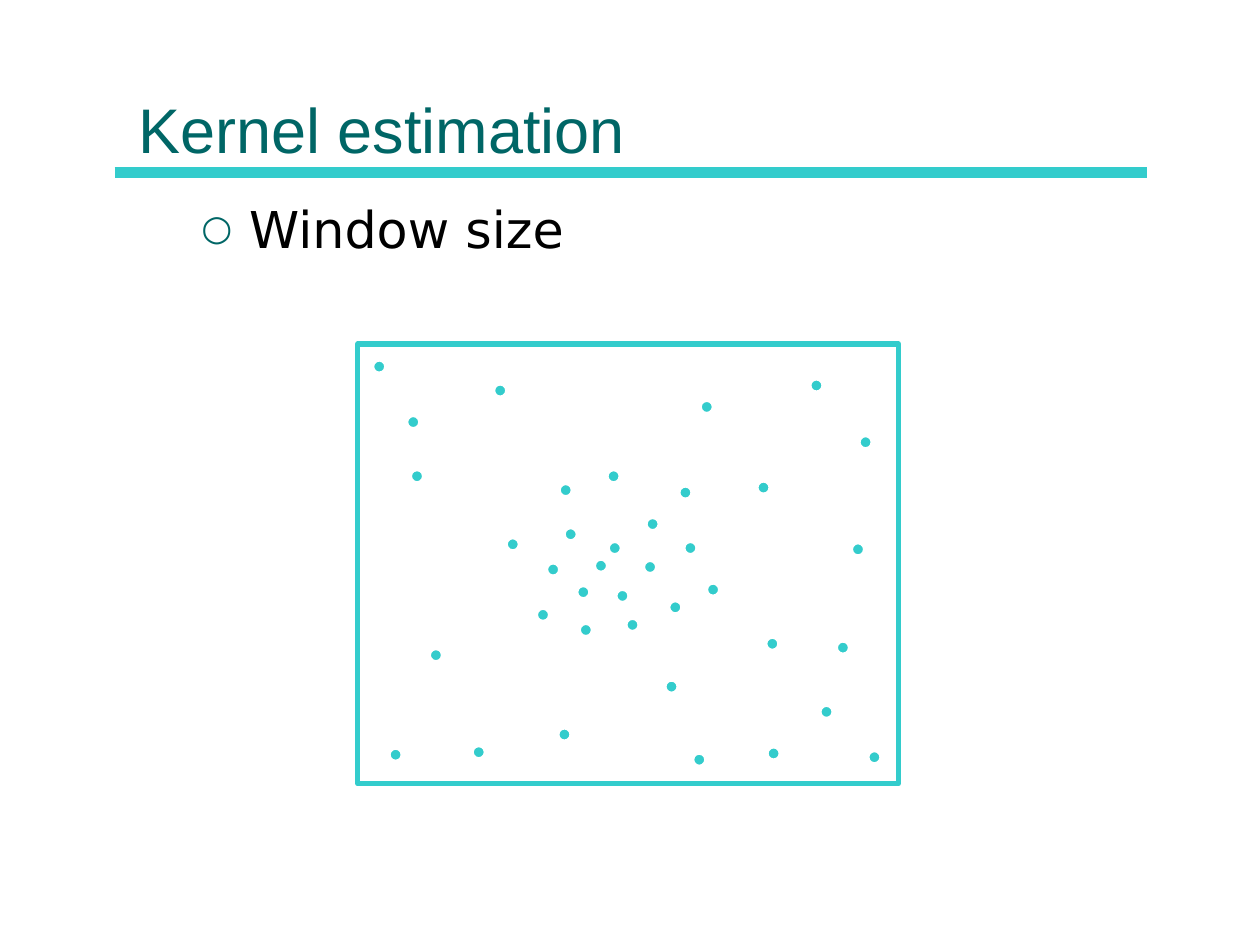
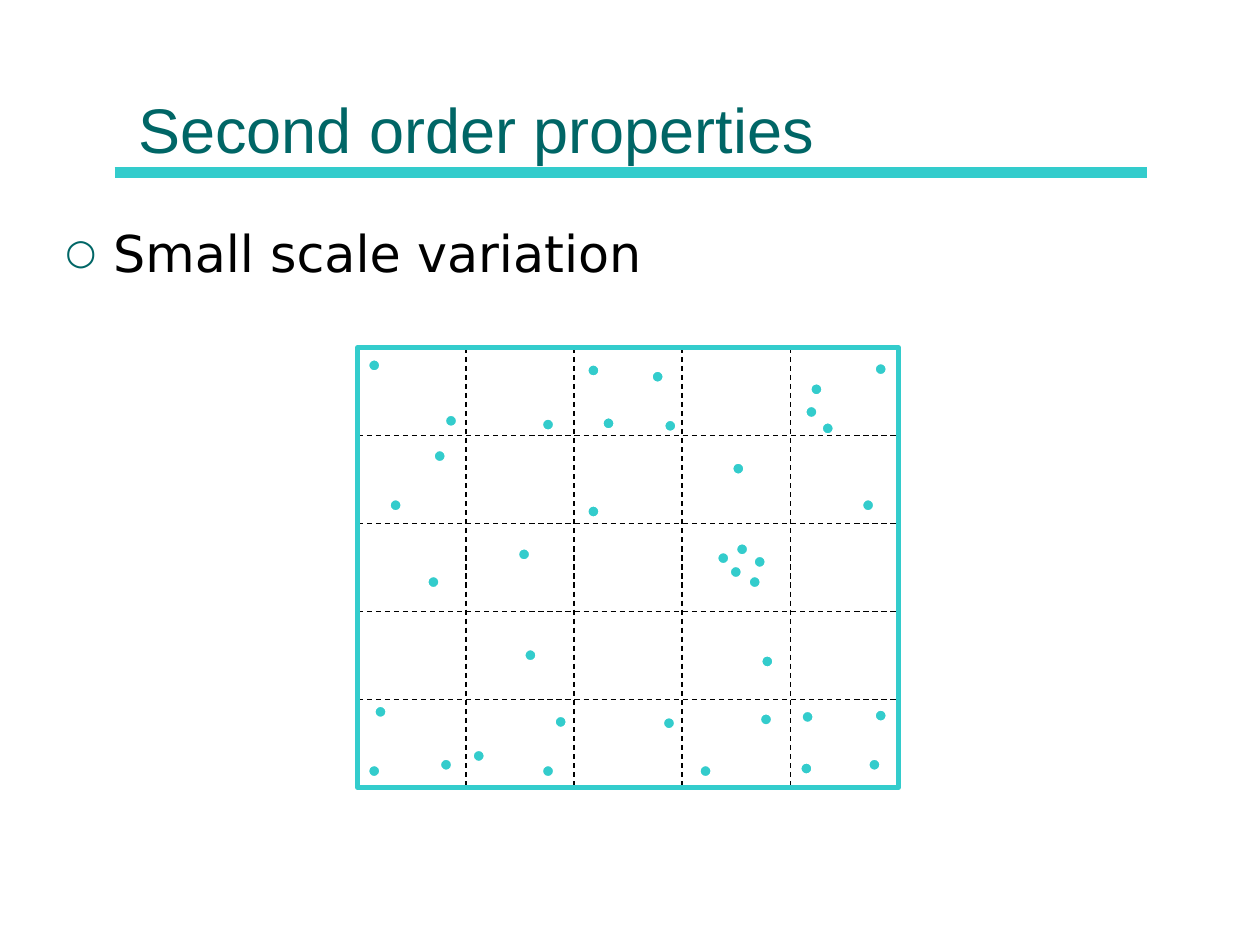
from lxml import etree
from pptx import Presentation
from pptx.dml.color import RGBColor
from pptx.enum import dml, shapes, text
from pptx.oxml import ns
from pptx.util import Inches, Pt

# Shared style
TEAL = RGBColor(0x33, 0xCC, 0xCC)
DARK = RGBColor(0x00, 0x66, 0x66)
BLACK = RGBColor(0, 0, 0)
WHITE = RGBColor(0xFF, 0xFF, 0xFF)
HEAD_FONT, BODY_FONT = "Arial", "DejaVu Sans"

# Plot frame and dots
LEFT, WIDTH, HEIGHT = 2.84, 4.29, 3.49
CELLS = 5
DOT = 0.1

# Top left corner of each dot
CLUSTER = [
    (4.89, 4.68), (4.44, 3.84), (3.92, 3.05), (6.82, 3.46), (4.97, 4.91),
    (4.82, 3.73), (6.76, 4.31), (4.58, 4.65), (5.13, 4.11), (4.02, 4.27),
    (3.23, 3.3), (5.39, 3.86), (4.72, 4.44), (2.96, 2.86), (5.31, 4.77),
    (3.26, 3.73), (4.48, 4.19), (5.56, 3.18), (6.43, 3.01), (4.6, 4.95),
    (4.26, 4.83), (4.83, 4.3), (5.43, 4.3), (6.01, 3.82), (3.75, 5.92),
    (3.41, 5.15), (4.34, 4.47), (4.43, 5.78), (3.09, 5.94), (6.64, 5.09),
    (6.89, 5.96), (5.5, 5.98), (5.11, 4.45), (6.08, 5.06), (6.09, 5.93),
    (6.51, 5.6), (5.61, 4.63), (5.28, 5.4),
]
SPREAD = [
    (5.98, 4.41), (4.3, 3.32), (3.53, 3.29), (6.94, 2.88), (5.94, 4.57),
    (5.27, 3.33), (3.44, 3.57), (5.69, 4.38), (4.66, 4.01), (4.11, 4.35),
    (2.92, 2.85), (3.39, 4.57), (5.84, 4.31), (5.17, 2.94), (4.66, 2.89),
    (3.09, 3.96), (4.78, 3.31), (6.39, 3.22), (6.43, 3.04), (5.79, 4.49),
    (4.16, 5.15), (5.81, 3.67), (6.84, 3.96), (6.52, 3.35), (3.75, 5.95),
    (2.97, 5.6), (3.49, 6.02), (4.3, 6.07), (2.92, 6.07), (6.03, 5.66),
    (6.94, 5.63), (5.55, 6.07), (6.36, 5.64), (6.04, 5.2), (6.35, 6.05),
    (6.89, 6.02), (4.4, 5.68), (5.26, 5.69),
]


def add_line(slide, x1, y1, x2, y2, color, width, dash=None):
    line = slide.shapes.add_connector(
        shapes.MSO_CONNECTOR.STRAIGHT,
        Inches(x1), Inches(y1), Inches(x2), Inches(y2))
    line.line.color.rgb = color
    line.line.width = Pt(width)
    if dash:
        line.line.dash_style = dash
    props = line._element.spPr
    etree.SubElement(props, ns.qn("a:effectLst"))


def add_text(slide, words, x, y, w, h, anchor):
    box = slide.shapes.add_textbox(Inches(x), Inches(y), Inches(w), Inches(h))
    frame = box.text_frame
    frame.word_wrap = True
    frame.vertical_anchor = anchor
    frame.text = words
    return frame.paragraphs[0]


def set_font(para, name, size, color):
    font = para.runs[0].font
    font.name, font.size = name, Pt(size)
    font.color.rgb = color


def add_title(slide, words):
    add_line(slide, 0.91, 1.37, 9.1, 1.37, TEAL, 6)
    para = add_text(slide, words, 1, 0.12, 8, 1.25, text.MSO_ANCHOR.BOTTOM)
    set_font(para, HEAD_FONT, 36, DARK)


def add_bullet(slide, words, x, y, w):
    para = add_text(slide, words, x, y, w, 4.5, text.MSO_ANCHOR.TOP)
    props = para._p.get_or_add_pPr()
    props.set("marL", str(Inches(0.38)))
    props.set("indent", str(-Inches(0.38)))
    color = etree.SubElement(props, ns.qn("a:buClr"))
    etree.SubElement(color, ns.qn("a:srgbClr"), val=str(DARK))
    etree.SubElement(props, ns.qn("a:buSzPct"), val="70000")
    etree.SubElement(props, ns.qn("a:buFont"), typeface=BODY_FONT)
    etree.SubElement(props, ns.qn("a:buChar"), char="○")
    set_font(para, BODY_FONT, 29, BLACK)


def add_shape(slide, kind, x, y, w, h, fill, edge, width):
    shape = slide.shapes.add_shape(
        kind, Inches(x), Inches(y), Inches(w), Inches(h))
    shape.shadow.inherit = False
    if fill is None:
        shape.fill.background()
    else:
        shape.fill.solid()
        shape.fill.fore_color.rgb = fill
    shape.line.color.rgb = edge
    shape.line.width = Pt(width)


def add_dots(slide, points):
    for x, y in points:
        add_shape(slide, shapes.MSO_SHAPE.OVAL, x, y, DOT, DOT,
                  TEAL, WHITE, 1.5)


def add_grid(slide, top):
    dash = dml.MSO_LINE.DASH
    for i in range(1, CELLS):
        x = LEFT + WIDTH * i / CELLS
        y = top + HEIGHT * i / CELLS
        add_line(slide, x, top, x, top + HEIGHT, BLACK, 0.75, dash)
        add_line(slide, LEFT, y, LEFT + WIDTH, y, BLACK, 0.75, dash)


def add_frame(slide, top):
    add_shape(slide, shapes.MSO_SHAPE.RECTANGLE, LEFT, top, WIDTH, HEIGHT,
              None, TEAL, 3)


def main():
    deck = Presentation()
    deck.slide_width, deck.slide_height = Inches(10), Inches(7.5)
    blank = deck.slide_layouts[6]

    # Kernel estimation: clustered points
    slide = deck.slides.add_slide(blank)
    add_title(slide, "Kernel estimation")
    add_bullet(slide, "Window size", 1.5, 1.52, 8)
    add_dots(slide, CLUSTER)
    add_frame(slide, 2.73)

    # Second order properties: points on a grid
    slide = deck.slides.add_slide(blank)
    add_title(slide, "Second order properties")
    add_bullet(slide, "Small scale variation", 0.42, 1.71, 9.13)
    add_dots(slide, SPREAD)
    add_grid(slide, 2.76)
    add_frame(slide, 2.76)

    deck.save("out.pptx")


if __name__ == "__main__":
    main()
